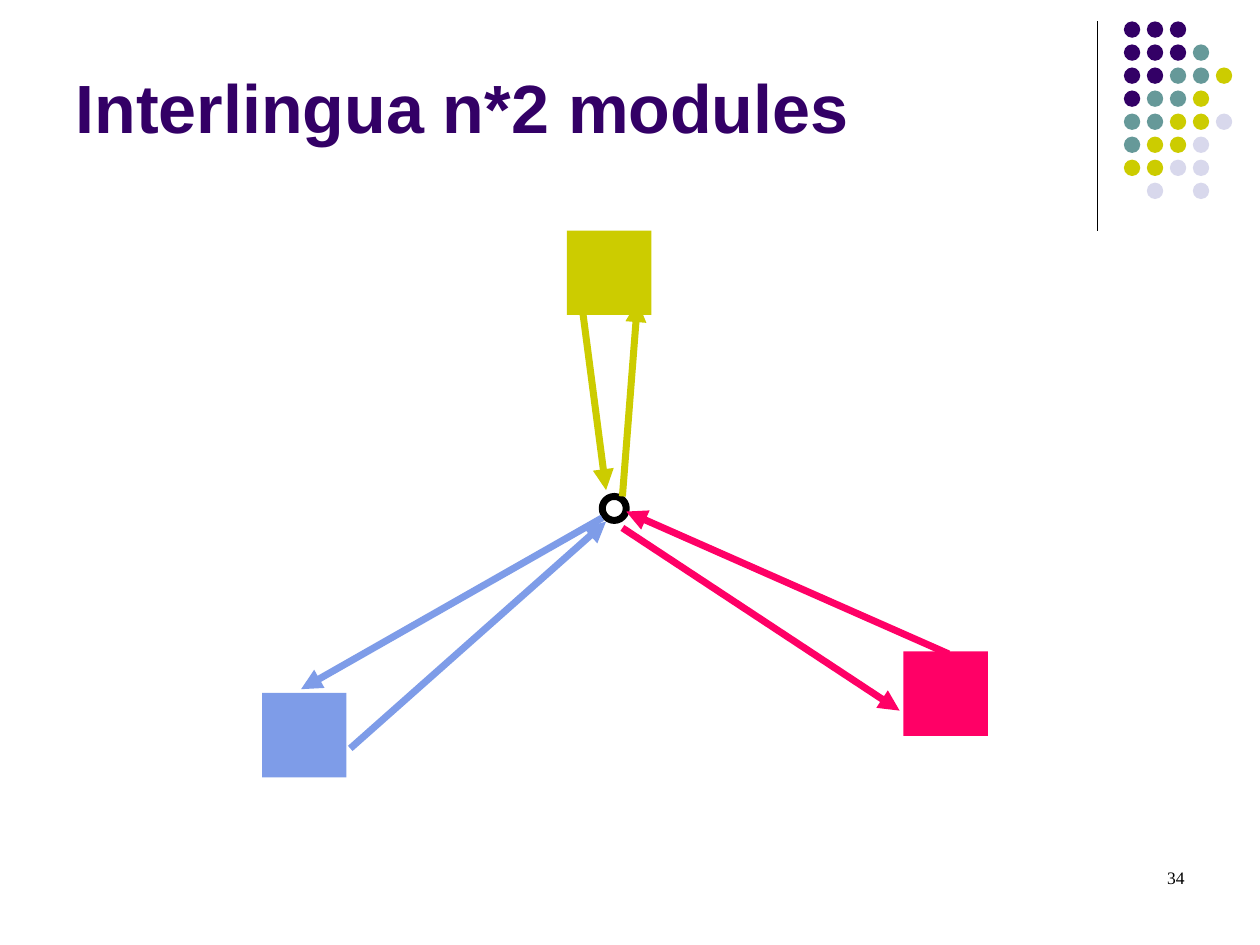
from lxml import etree
from pptx import Presentation
from pptx.dml.color import RGBColor
from pptx.enum.shapes import MSO_CONNECTOR, MSO_SHAPE
from pptx.enum.text import MSO_ANCHOR, PP_ALIGN
from pptx.oxml.ns import qn
from pptx.util import Inches, Pt

OVAL, RECTANGLE = MSO_SHAPE.OVAL, MSO_SHAPE.RECTANGLE
STRAIGHT = MSO_CONNECTOR.STRAIGHT
LEFT, RIGHT = PP_ALIGN.LEFT, PP_ALIGN.RIGHT
TOP, MIDDLE = MSO_ANCHOR.TOP, MSO_ANCHOR.MIDDLE

PURPLE, TEAL, OLIVE, PALE = "330066", "669999", "CCCC00", "D8D8EC"
BLUE, PINK, BLACK, WHITE = "7E9CE8", "FF0066", "000000", "FFFFFF"
DOT_COLOURS = {"P": PURPLE, "T": TEAL, "O": OLIVE, "L": PALE}
DOT_ROWS = ["PPP", "PPPT", "PPTTO", "PTTO", "TTOOL", "TOOL", "OOLL", " L L"]
DOT_SIZE = 0.13
SQUARE_SIZE = 0.67
STROKE = 4

# Each language: colour, square corner, then its arrows to and from the hub
LANGUAGES = [
    (OLIVE, (4.5, 1.83), [((4.61, 2.36), (4.81, 3.89)), ((4.94, 3.94), (5.06, 2.39))]),
    (BLUE, (2.08, 5.5), [((2.78, 5.94), (4.81, 4.14)), ((4.78, 4.11), (2.39, 5.47))]),
    (PINK, (7.17, 5.17), [((7.53, 5.19), (4.97, 4.06)), ((4.94, 4.19), (7.14, 5.64))]),
]


def colour(value):
    return RGBColor.from_string(value)


def add_solid(page, kind, box, fill, line=None):
    """Add a filled shape, outlined only when a line colour is given."""
    shape = page.shapes.add_shape(kind, *map(Inches, box))
    shape.shadow.inherit = False
    shape.fill.solid()
    shape.fill.fore_color.rgb = colour(fill)
    if line:
        shape.line.color.rgb = colour(line)
        shape.line.width = Pt(STROKE)
    else:
        shape.line.fill.background()


def add_line(page, start, end, line, width, arrow=False):
    connector = page.shapes.add_connector(STRAIGHT, *map(Inches, (*start, *end)))
    connector.line.color.rgb = colour(line)
    connector.line.width = Pt(width)
    if arrow:
        outline = connector.line._get_or_add_ln()
        etree.SubElement(outline, qn("a:tailEnd"), type="triangle")
    etree.SubElement(connector._element.spPr, qn("a:effectLst"))


def write_text(shape, text, *, font, size, fill, bold=False, align=LEFT, anchor=TOP):
    frame = shape.text_frame
    frame.word_wrap = True
    frame.vertical_anchor = anchor
    para = frame.paragraphs[0]
    para.alignment = align
    span = para.add_run()
    span.text = text
    span.font.name = font
    span.font.size = Pt(size)
    span.font.bold = bold
    span.font.color.rgb = colour(fill)


def place_title(page, box, text):
    title = page.shapes.title
    title.left, title.top, title.width, title.height = map(Inches, box)
    write_text(title, text, font="Arial", size=39, fill=PURPLE, bold=True, anchor=MIDDLE)


def draw_dots(page, box):
    """Fill the box with the corner ornament, its dots evenly spaced."""
    left, top, width, height = box
    column_step = (width - DOT_SIZE) / (max(map(len, DOT_ROWS)) - 1)
    row_step = (height - DOT_SIZE) / (len(DOT_ROWS) - 1)
    for row, codes in enumerate(DOT_ROWS):
        for column, code in enumerate(codes):
            if code in DOT_COLOURS:
                corner = (left + column * column_step, top + row * row_step)
                add_solid(page, OVAL, (*corner, DOT_SIZE, DOT_SIZE), DOT_COLOURS[code])


def draw_diagram(page, hub):
    add_solid(page, OVAL, hub, WHITE, line=BLACK)
    for fill, corner, arrows in LANGUAGES:
        add_solid(page, RECTANGLE, (*corner, SQUARE_SIZE, SQUARE_SIZE), fill)
        for start, end in arrows:
            add_line(page, start, end, fill, STROKE, arrow=True)


def place_number(page, box, number):
    field = page.shapes.add_textbox(*map(Inches, box))
    write_text(field, number, font="Times New Roman", size=10, fill=BLACK, align=RIGHT)


def main():
    deck = Presentation()
    deck.slide_width, deck.slide_height = Inches(10), Inches(7.5)
    page = deck.slides.add_slide(deck.slide_layouts[5])
    add_line(page, (8.71, 0.17), (8.71, 1.83), BLACK, 0.75)
    draw_dots(page, (8.92, 0.17, 0.86, 1.41))
    place_title(page, (0.5, 0.13, 8.25, 1.42), "Interlingua n*2 modules")
    draw_diagram(page, hub=(4.78, 3.94, 0.19, 0.19))
    place_number(page, (7.17, 6.83, 2.33, 0.5), "34")
    deck.save("out.pptx")


if __name__ == "__main__":
    main()
